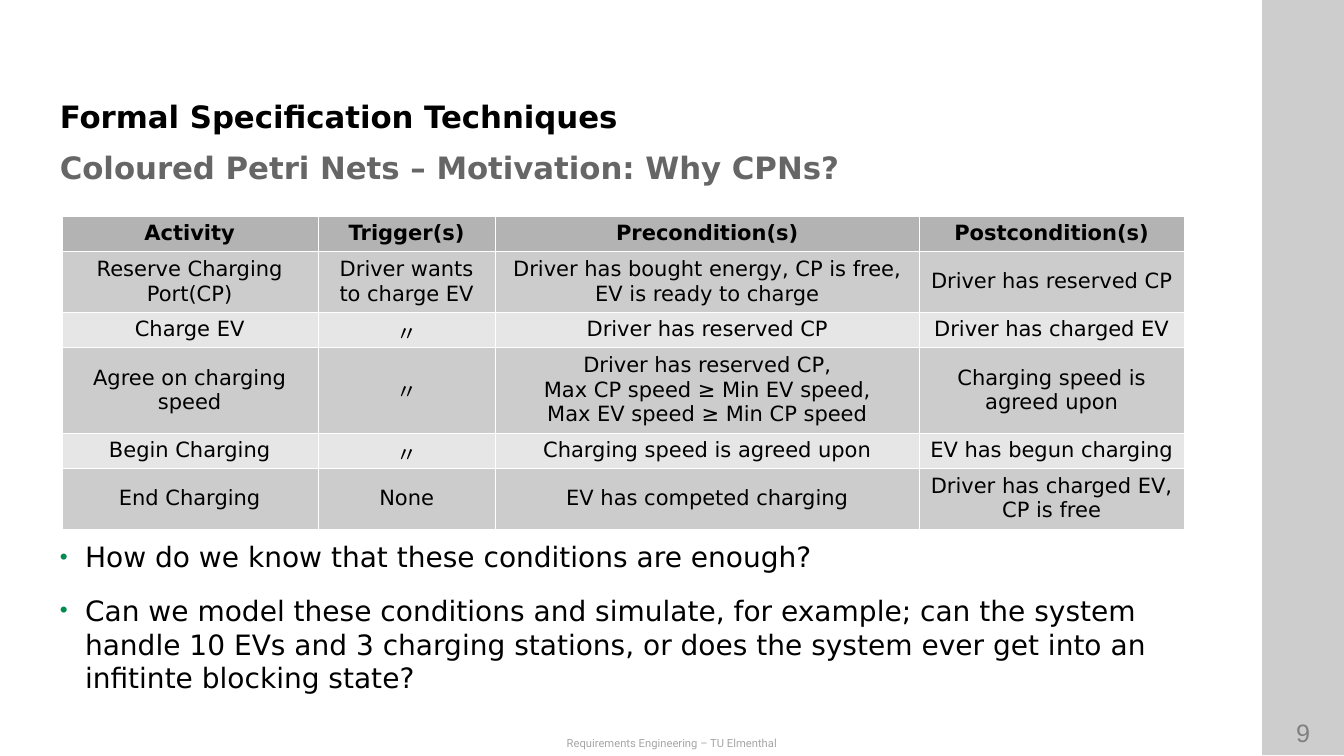
from lxml.etree import SubElement
from pptx import Presentation
from pptx.dml.color import RGBColor
from pptx.enum.shapes import MSO_SHAPE as Shape
from pptx.enum.text import MSO_ANCHOR as Anchor, PP_ALIGN as Align
from pptx.oxml.ns import qn
from pptx.util import Pt


def paint(color_format, value):
    """Set a colour from a hex string."""
    color_format.rgb = RGBColor.from_string(value)


def write(frame, text, size, font="DejaVu Sans", color="000000", bold=False,
          align=Align.LEFT, anchor=Anchor.MIDDLE, margins=(0, 0), before=0):
    """Fill a text frame or table cell, one paragraph for each line of text."""
    frame.word_wrap = True
    frame.vertical_anchor = anchor
    frame.margin_left = frame.margin_right = Pt(margins[0])
    frame.margin_top = frame.margin_bottom = Pt(margins[1])
    body = getattr(frame, "text_frame", frame)
    body.text = text
    for para in body.paragraphs:
        para.alignment = align
        para.space_before = Pt(before)
        for span in para.runs:
            span.font.name = font
            span.font.size = Pt(size)
            span.font.bold = bold
            paint(span.font.color, color)


deck = Presentation()
deck.slide_width, deck.slide_height = Pt(960), Pt(540)
page = deck.slides.add_slide(deck.slide_layouts[6])

# Side strip: two translucent layers
for layer in range(2):
    strip = page.shapes.add_shape(Shape.RECTANGLE, Pt(901.5), Pt(0), Pt(58.5), Pt(539.5))
    strip.shadow.inherit = False
    strip.line.fill.background()
    strip.fill.solid()
    paint(strip.fill.fore_color, "000000")
    tint = strip.fill._xPr.find(qn("a:solidFill"))[0]
    SubElement(tint, qn("a:alpha"), val="10000")

# Headings, page number, footer and questions
centred = dict(align=Align.CENTER, margins=(7.2, 3.6))
heading = dict(size=22, bold=True)
questions = (
    "How do we know that these conditions are enough?\n"
    "Can we model these conditions and simulate, for example; can the system handle "
    "10 EVs and 3 charging stations, or does the system ever get into an infitinte "
    "blocking state?"
)
texts = [
    ((901, 508.5, 59.5, 29), "9",
     dict(size=18, font="Arial", color="808080", anchor=Anchor.TOP, **centred)),
    ((0, 522.5, 960, 17), "Requirements Engineering – TU Elmenthal",
     dict(size=8, font="Roboto", color="A6A6A6", anchor=Anchor.TOP, **centred)),
    ((42.75, 57, 815, 39), "Formal Specification Techniques",
     dict(anchor=Anchor.BOTTOM, **heading)),
    ((42.75, 100, 815, 39), "Coloured Petri Nets – Motivation: Why CPNs?",
     dict(color="666666", **heading)),
    ((42.75, 378, 785.5, 125.5), questions, dict(size=20, before=14.2)),
]
for place, text, style in texts:
    box = page.shapes.add_textbox(*map(Pt, place))
    write(box.text_frame, text, **style)

# The questions are the last box and carry green bullets
for para in box.text_frame.paragraphs:
    props = para._p.get_or_add_pPr()
    props.set("marL", str(Pt(18)))
    props.set("indent", str(-Pt(18)))
    SubElement(SubElement(props, qn("a:buClr")), qn("a:srgbClr"), val="008C4F")
    SubElement(props, qn("a:buSzPct"), val="80000")
    SubElement(props, qn("a:buFont"), typeface="Arial")
    SubElement(props, qn("a:buChar"), char="•")

# Activity table
activities = [
    ("Activity", "Trigger(s)", "Precondition(s)", "Postcondition(s)"),
    ("Reserve Charging Port(CP)", "Driver wants to charge EV",
     "Driver has bought energy, CP is free, EV is ready to charge",
     "Driver has reserved CP"),
    ("Charge EV", "〃", "Driver has reserved CP", "Driver has charged EV"),
    ("Agree on charging speed", "〃",
     "Driver has reserved CP,\nMax CP speed ≥ Min EV speed,\nMax EV speed ≥ Min CP speed",
     "Charging speed is agreed upon"),
    ("Begin Charging", "〃", "Charging speed is agreed upon", "EV has begun charging"),
    ("End Charging", "None", "EV has competed charging",
     "Driver has charged EV,\nCP is free"),
]
widths = [183, 127, 302.5, 189.5]
heights = [24.5, 42, 24.5, 60, 24.5, 42]
table = page.shapes.add_table(len(heights), len(widths), Pt(44), Pt(154.25),
                              Pt(sum(widths)), Pt(sum(heights))).table
table.first_row = table.horz_banding = False
for column, width in zip(table.columns, widths):
    column.width = Pt(width)

for r, (height, entries) in enumerate(zip(heights, activities)):
    table.rows[r].height = Pt(height)
    band = "B3B3B3" if r == 0 else ("E6E6E6", "CCCCCC")[r % 2]
    if r == 5:
        band = "CCCCCC"
    for c, entry in enumerate(entries):
        cell = table.cell(r, c)
        write(cell, entry, 15, bold=r == 0, before=1.4 if c == 1 and r > 1 else 0,
              **centred)
        props = cell._tc.get_or_add_tcPr()
        for side in ("a:lnL", "a:lnR", "a:lnT", "a:lnB"):
            edge = SubElement(props, qn(side), w=str(Pt(0.06)))
            SubElement(SubElement(edge, qn("a:solidFill")), qn("a:srgbClr"), val="FFFFFF")
        cell.fill.solid()
        paint(cell.fill.fore_color, band)

deck.save("out.pptx")
